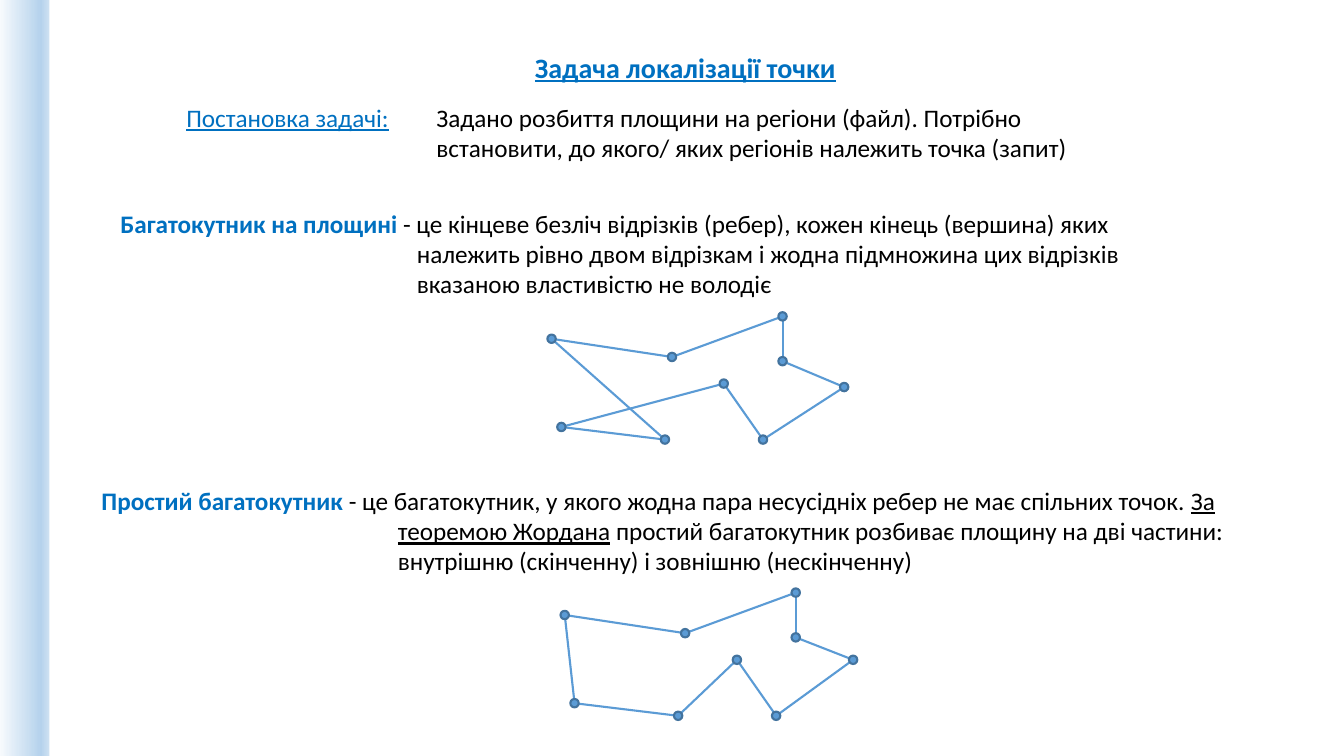
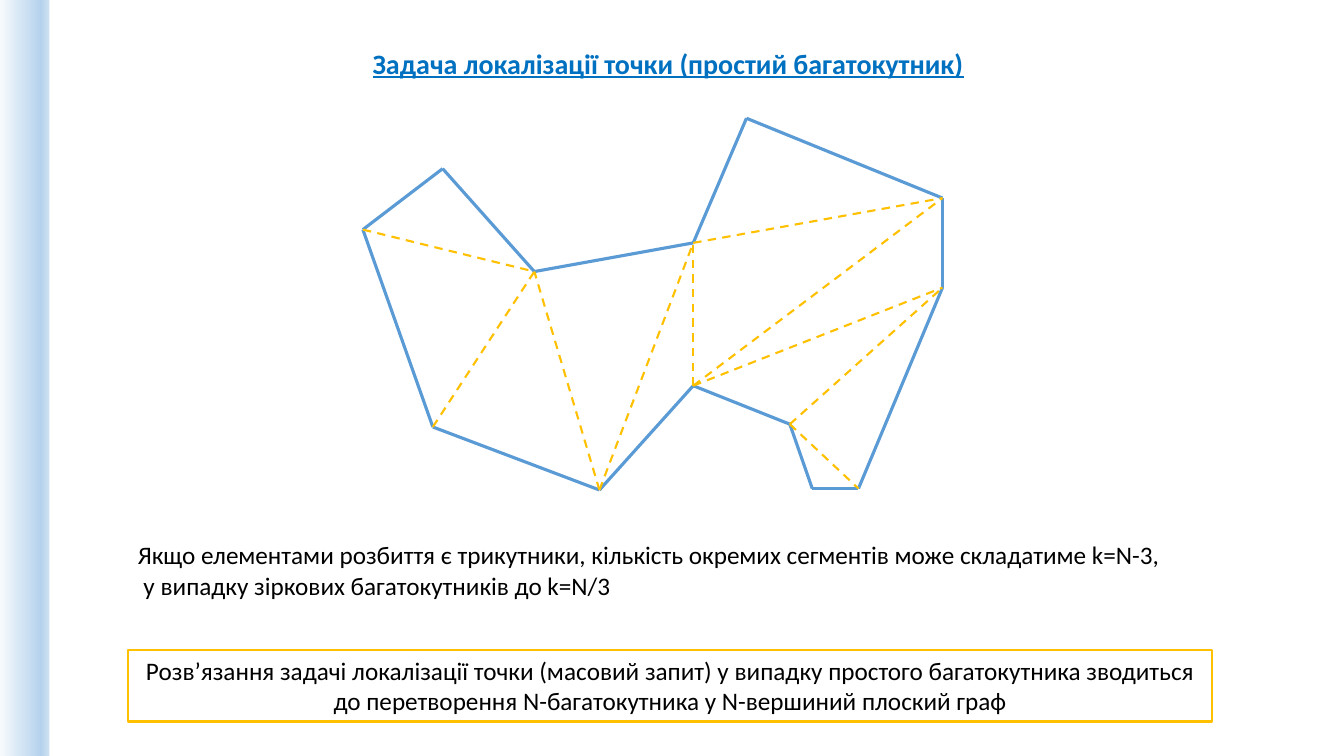
from copy import deepcopy
from itertools import pairwise

from lxml.etree import SubElement
from pptx import Presentation
from pptx.dml.color import RGBColor
from pptx.enum.dml import MSO_LINE
from pptx.enum.shapes import MSO_CONNECTOR, MSO_SHAPE
from pptx.enum.text import MSO_ANCHOR, PP_ALIGN
from pptx.oxml.ns import qn
from pptx.util import Pt

BLUE = RGBColor(0x00, 0x70, 0xC0)
BLACK = RGBColor(0x00, 0x00, 0x00)
EDGE = RGBColor(0x5B, 0x9B, 0xD5)
VERTEX_LINE = RGBColor(0x43, 0x73, 0x9E)
GOLD = RGBColor(0xFF, 0xC0, 0x00)
BAND_STOPS = [
    (0, RGBColor(0xF7, 0xFA, 0xFD)),
    (0.83, RGBColor(0xB5, 0xD2, 0xEC)),
    (1, RGBColor(0xCE, 0xE1, 0xF2)),
]

FONT = "Calibri"
SLIDE_W, SLIDE_H = 960, 540
BAND_W = 35.3
HANGING = 211.7
DOT = 6

# Vertices are relative to the top left corner of their figure.
SKETCH = {
    "A": (4, 19), "B": (90, 32), "C": (169, 3), "D": (169, 35), "E": (213, 53.5),
    "F": (155, 91), "G": (127, 51), "H": (11, 82), "I": (85, 91),
}
SIMPLE_SKETCH = SKETCH | {"E": (210, 51)}

OUTLINE = {
    "ear": (57, 36), "left": (0, 79.5), "low left": (50, 220.5),
    "bottom": (169, 265.5), "inner": (236, 191), "step": (305, 218.5),
    "foot left": (321, 264.5), "foot right": (354, 264.5),
    "low right": (414, 121), "top right": (414, 57), "peak": (274, 0),
    "notch": (236, 89), "dip": (122.5, 109.5),
}
DIAGONALS = [
    ("left", "dip"), ("low left", "dip"), ("bottom", "dip"), ("bottom", "notch"),
    ("inner", "notch"), ("notch", "top right"), ("inner", "top right"),
    ("inner", "low right"), ("step", "low right"), ("step", "foot right"),
]


def add_runs(p, runs):
    """Add (text, colour, bold, underline) runs; the last three may be left out."""
    for text, *style in runs:
        color, bold, underline = style or (BLACK, False, False)
        r = p.add_run()
        r.text = text
        r.font.name, r.font.size = FONT, Pt(18)
        r.font.bold, r.font.underline = bold, underline
        r.font.color.rgb = color


def add_text(slide, box, *paragraphs, hanging=0):
    tf = slide.shapes.add_textbox(*map(Pt, box)).text_frame
    tf.word_wrap = True
    for i, runs in enumerate(paragraphs):
        p = tf.add_paragraph() if i else tf.paragraphs[0]
        add_runs(p, runs)
        if hanging:
            pPr = p._p.get_or_add_pPr()
            pPr.set("marL", str(Pt(hanging)))
            pPr.set("indent", str(-Pt(hanging)))
    return tf


def add_title(slide, box, text):
    tf = add_text(slide, box, [(text, BLUE, True, True)])
    tf.word_wrap = False
    tf.paragraphs[0].runs[0].font.size = Pt(20)


def add_frame(slide, box, text):
    sp = slide.shapes.add_shape(MSO_SHAPE.RECTANGLE, *map(Pt, box))
    sp.shadow.inherit = False
    sp.fill.background()
    sp.line.color.rgb = GOLD
    sp.line.width = Pt(1.5)
    tf = sp.text_frame
    tf.word_wrap = True
    tf.vertical_anchor = MSO_ANCHOR.TOP
    p = tf.paragraphs[0]
    p.alignment = PP_ALIGN.CENTER
    add_runs(p, [(text,)])


def add_band(slide):
    sp = slide.shapes.add_shape(MSO_SHAPE.RECTANGLE, 0, 0, Pt(BAND_W), Pt(SLIDE_H))
    sp.shadow.inherit = False
    sp.line.fill.background()
    sp.fill.gradient()
    sp.fill.gradient_angle = 0
    stop_list = sp._element.spPr.find(".//" + qn("a:gsLst"))
    stop_list.append(deepcopy(stop_list[0]))
    for stop, (position, color) in zip(sp.fill.gradient_stops, BAND_STOPS):
        stop.position = position
        stop.color.rgb = color


def add_line(shapes, start, end, color, width, dash=None):
    cx = shapes.add_connector(MSO_CONNECTOR.STRAIGHT, *map(Pt, (*start, *end)))
    cx.line.color.rgb = color
    cx.line.width = Pt(width)
    if dash:
        cx.line.dash_style = dash
    SubElement(cx._element.spPr, qn("a:effectLst"))


def place(vertices, left, top):
    return {name: (left + x, top + y) for name, (x, y) in vertices.items()}


def add_polygon(slide, points, order, width):
    """Join the named points in order, closing the ring, inside one group."""
    shapes = slide.shapes.add_group_shape().shapes
    for a, b in pairwise([*order, order[0]]):
        add_line(shapes, points[a], points[b], EDGE, width)
    return shapes


def add_dotted_polygon(slide, left, top, vertices, order):
    points = place(vertices, left, top)
    shapes = add_polygon(slide, points, order, 1.5)
    for x, y in points.values():
        dot = shapes.add_shape(
            MSO_SHAPE.OVAL, Pt(x - DOT / 2), Pt(y - DOT / 2), Pt(DOT), Pt(DOT))
        dot.shadow.inherit = False
        dot.fill.solid()
        dot.fill.fore_color.rgb = EDGE
        dot.line.color.rgb = VERTEX_LINE
        dot.line.width = Pt(1.5)


def add_triangulation(slide, left, top):
    points = place(OUTLINE, left, top)
    add_polygon(slide, points, list(OUTLINE), 2.25)
    for a, b in DIAGONALS:
        add_line(slide.shapes, points[a], points[b], GOLD, 1.5, MSO_LINE.DASH)


def new_slide(prs, title_box, title):
    slide = prs.slides.add_slide(prs.slide_layouts[6])
    add_band(slide)
    add_title(slide, title_box, title)
    return slide


def definitions_slide(prs):
    slide = new_slide(prs, (375, 32.4, 231, 31.5), "Задача локалізації точки")
    add_text(slide, (126, 69.4, 258, 29), [("Постановка задачі:", BLUE, False, True)])
    add_text(slide, (304.6, 69.4, 512.6, 51), [
        ("Задано розбиття площини на регіони (файл). Потрібно встановити, "
         "до якого/ яких регіонів належить точка (запит)",)])
    add_text(slide, (79, 145, 777.6, 72.7), [
        ("Багатокутник на площині ", BLUE, True, False),
        ("- це кінцеве безліч відрізків (ребер), кожен кінець (вершина) яких "
         "належить рівно двом відрізкам і жодна підмножина цих відрізків "
         "вказаною властивістю не володіє",),
    ], hanging=HANGING)
    add_text(slide, (65.4, 343, 820, 72.7), [
        ("Простий багатокутник ", BLUE, True, False),
        ("- це багатокутник, у якого жодна пара несусідніх ребер "
         "не має спільних точок. ",),
        ("За теоремою Жордана", BLACK, False, True),
        (" простий багатокутник розбиває площину на дві частини: "
         "внутрішню (скінченну) і зовнішню (нескінченну)",),
    ], hanging=HANGING)
    add_dotted_polygon(slide, 390, 223, SKETCH, "ABCDEFGHI")
    add_dotted_polygon(slide, 399.4, 420.3, SIMPLE_SKETCH, "ABCDEFGIH")


def triangulation_slide(prs):
    slide = new_slide(prs, (259, 29.5, 439, 31.5),
                      "Задача локалізації точки (простий багатокутник)")
    add_triangulation(slide, 259.2, 84.5)
    add_text(
        slide, (91.4, 381.9, 774.7, 51),
        [("Якщо елементами розбиття є трикутники, кількість окремих сегментів "
          "може складатиме k=N-3,",)],
        [(" у випадку зіркових багатокутників до k=N/3",)])
    add_frame(
        slide, (91.4, 464.4, 774.7, 51),
        "Розв’язання задачі локалізації точки (масовий запит) у випадку простого "
        "багатокутника зводиться до перетворення N-багатокутника "
        "у N-вершиний плоский граф")


def main():
    prs = Presentation()
    prs.slide_width, prs.slide_height = Pt(SLIDE_W), Pt(SLIDE_H)
    definitions_slide(prs)
    triangulation_slide(prs)
    prs.save("out.pptx")


if __name__ == "__main__":
    main()
